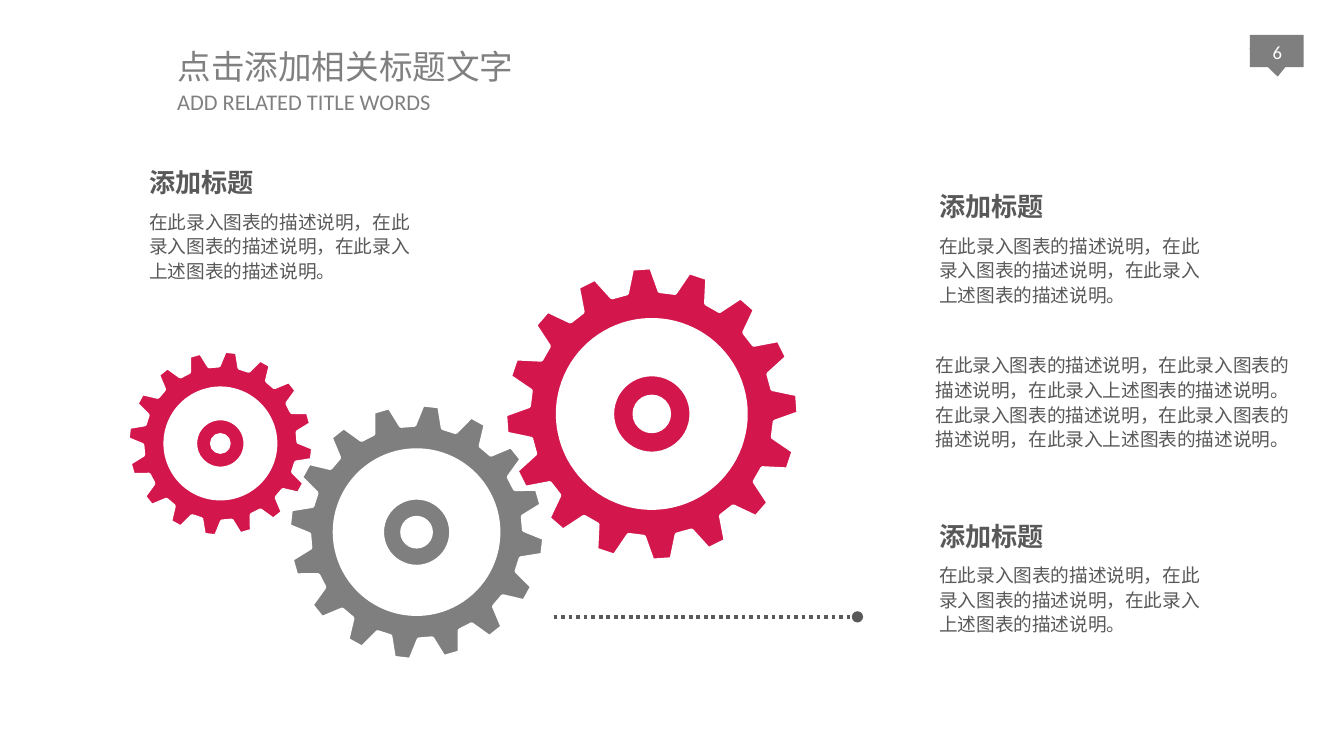
from dataclasses import dataclass
from math import cos, radians, sin

from lxml import etree
from pptx import Presentation
from pptx import util as u
from pptx.dml.color import RGBColor
from pptx.enum import dml, shapes, text
from pptx.oxml import ns


@dataclass(frozen=True)
class Theme:
    red: str = "D3174D"
    gray: str = "7F7F7F"
    title: str = "808080"
    body: str = "595959"
    white: str = "FFFFFF"
    latin: str = "Calibri"
    chinese: str = "Noto Sans CJK SC"
    title_size: int = 18
    heading_size: int = 14
    subtitle_size: int = 12
    body_size: int = 10
    line_width: int = 2


THEME = Theme()
HEADING = "添加标题"
DESCRIPTION = "在此录入图表的描述说明，在此录入图表的描述说明，在此录入上述图表的描述说明。"
WIDE_INSETS = (0.1, 0.05, 0.1, 0.05)
SLIM_INSETS = (0.07, 0.04, 0.07, 0.04)
TEETH = 16
TOOTH_PROFILE = ((-7.6, 0.84), (-3.7, 1), (3.7, 1), (7.6, 0.84))
HUB_RATIO = 0.27


def place(shape, left, top, width, height):
    shape.left, shape.top = u.Inches(left), u.Inches(top)
    shape.width, shape.height = u.Inches(width), u.Inches(height)


def write_text(box, runs, size, color, bold=False, wrap=False, grow=True, insets=WIDE_INSETS,
               spacing=None, align=text.PP_ALIGN.LEFT, anchor=text.MSO_ANCHOR.TOP):
    frame = box.text_frame
    frame.word_wrap = wrap
    frame.auto_size = text.MSO_AUTO_SIZE.SHAPE_TO_FIT_TEXT if grow else text.MSO_AUTO_SIZE.NONE
    frame.vertical_anchor = anchor
    (frame.margin_left, frame.margin_top,
     frame.margin_right, frame.margin_bottom) = map(u.Inches, insets)
    para = frame.paragraphs[0]
    para.alignment = align
    para.line_spacing = spacing
    for words, font in runs:
        span = para.add_run()
        span.text = words
        span.font.size = u.Pt(size)
        span.font.bold = bold
        span.font.color.rgb = RGBColor.from_string(color)
        span.font.name = font
        east_asian = etree.SubElement(span.font._element, ns.qn("a:ea"))
        east_asian.set("typeface", THEME.chinese)


def add_text(page, position, runs, size, color, **style):
    box = page.shapes.add_textbox(0, 0, 0, 0)
    place(box, *position)
    write_text(box, runs, size, color, **style)


def paint(shape, color, outlined=False):
    shape.shadow.inherit = False
    shape.fill.solid()
    shape.fill.fore_color.rgb = RGBColor.from_string(color)
    if outlined:
        shape.line.color.rgb = RGBColor.from_string(THEME.white)
        shape.line.width = u.Pt(THEME.line_width)
    else:
        shape.line.fill.background()


def add_preset(page, kind, position, color, outlined=False):
    shape = page.shapes.add_shape(kind, 0, 0, 0, 0)
    place(shape, *position)
    paint(shape, color, outlined)
    return shape


def polar(center, radius, degrees):
    x, y = center
    angle = radians(degrees)
    return u.Inches(x + radius * cos(angle)), u.Inches(y + radius * sin(angle))


def add_gear(page, center, radius, turn, color, hole_radius, hub_ring):
    outline = [polar(center, radius * ratio, turn + tooth * 360 / TEETH + offset)
               for tooth in range(TEETH) for offset, ratio in TOOTH_PROFILE]
    hole = [polar(center, hole_radius, -degrees) for degrees in range(0, 360, 4)]
    builder = page.shapes.build_freeform(*outline[0])
    builder.add_line_segments(outline[1:], close=True)
    builder.move_to(*hole[0])
    builder.add_line_segments(hole[1:], close=True)
    paint(builder.convert_to_shape(), color, outlined=True)

    hub = radius * HUB_RATIO
    position = (center[0] - hub, center[1] - hub, 2 * hub, 2 * hub)
    ring = add_preset(page, shapes.MSO_SHAPE.DONUT, position, color, outlined=True)
    ring.adjustments[0] = hub_ring


def add_dotted_line(page, start, end):
    line = page.shapes.add_connector(shapes.MSO_CONNECTOR.STRAIGHT,
                                     *map(u.Inches, (*start, *end)))
    line.line.color.rgb = RGBColor.from_string(THEME.body)
    line.line.width = u.Pt(THEME.line_width)
    line.line.dash_style = dml.MSO_LINE.ROUND_DOT
    etree.SubElement(line.line._get_or_add_ln(), ns.qn("a:tailEnd")).set("type", "oval")
    etree.SubElement(line._element.spPr, ns.qn("a:effectLst"))


def add_page_marker(page):
    add_preset(page, shapes.MSO_SHAPE.RECTANGLE, (9.3, 0.26, 0.4, 0.24), THEME.gray)
    pointer = add_preset(page, shapes.MSO_SHAPE.ISOSCELES_TRIANGLE, (9.3, 0.35, 0.4, 0.22),
                         THEME.gray)
    pointer.rotation = 176.8
    add_text(page, (9.32, 0.22, 0.37, 0.38), [("6", THEME.latin)], THEME.body_size, THEME.white,
             wrap=True, grow=False, insets=(0, 0, 0, 0.05), align=text.PP_ALIGN.CENTER,
             anchor=text.MSO_ANCHOR.MIDDLE)


def add_titles(page):
    title = page.shapes.title
    place(title, 1.22, 0.29, 2.74, 0.41)
    write_text(title, [("点击添加相关标题文字", THEME.chinese)], THEME.title_size, THEME.title)
    add_text(page, (1.22, 0.61, 2.12, 0.31), [("ADD RELATED TITLE WORDS", THEME.latin)],
             THEME.subtitle_size, THEME.title)


def add_description(page, position, fonts, insets):
    add_text(page, position, [(DESCRIPTION, font) for font in fonts], THEME.body_size,
             THEME.body, wrap=True, insets=insets, spacing=1.1)


def add_caption(page, left, top, heading_size, body_height, font, insets):
    width, height = heading_size
    add_text(page, (left, top, width, height), [(HEADING, font)], THEME.heading_size,
             THEME.body, bold=True, insets=insets)
    add_description(page, (left, top + 0.31, 2.21, body_height), [font], insets)


def main():
    deck = Presentation()
    deck.slide_width = u.Inches(10)
    deck.slide_height = deck.slide_width * 9 // 16
    page = deck.slides.add_slide(deck.slide_layouts[5])

    add_page_marker(page)
    add_titles(page)
    add_gear(page, (4.85, 3.08), 1.09, -4, THEME.red, hole_radius=0.7, hub_ring=0.28)
    add_gear(page, (3.1, 3.96), 0.95, 6.5, THEME.gray, hole_radius=0.61, hub_ring=0.29)
    add_gear(page, (1.64, 3.3), 0.69, 6.5, THEME.red, hole_radius=0.41, hub_ring=0.33)
    add_dotted_line(page, (4.12, 4.59), (6.38, 4.59))

    add_caption(page, 1.04, 1.2, (0.94, 0.31), 0.63, THEME.latin, SLIM_INSETS)
    for top, body_height in ((1.37, 1.23), (3.82, 0.66)):
        add_caption(page, 6.89, top, (0.99, 0.34), body_height, THEME.chinese, WIDE_INSETS)
    add_description(page, (6.89, 2.58, 2.88, 1), [THEME.chinese, THEME.latin], SLIM_INSETS)

    deck.save("out.pptx")


if __name__ == "__main__":
    main()
